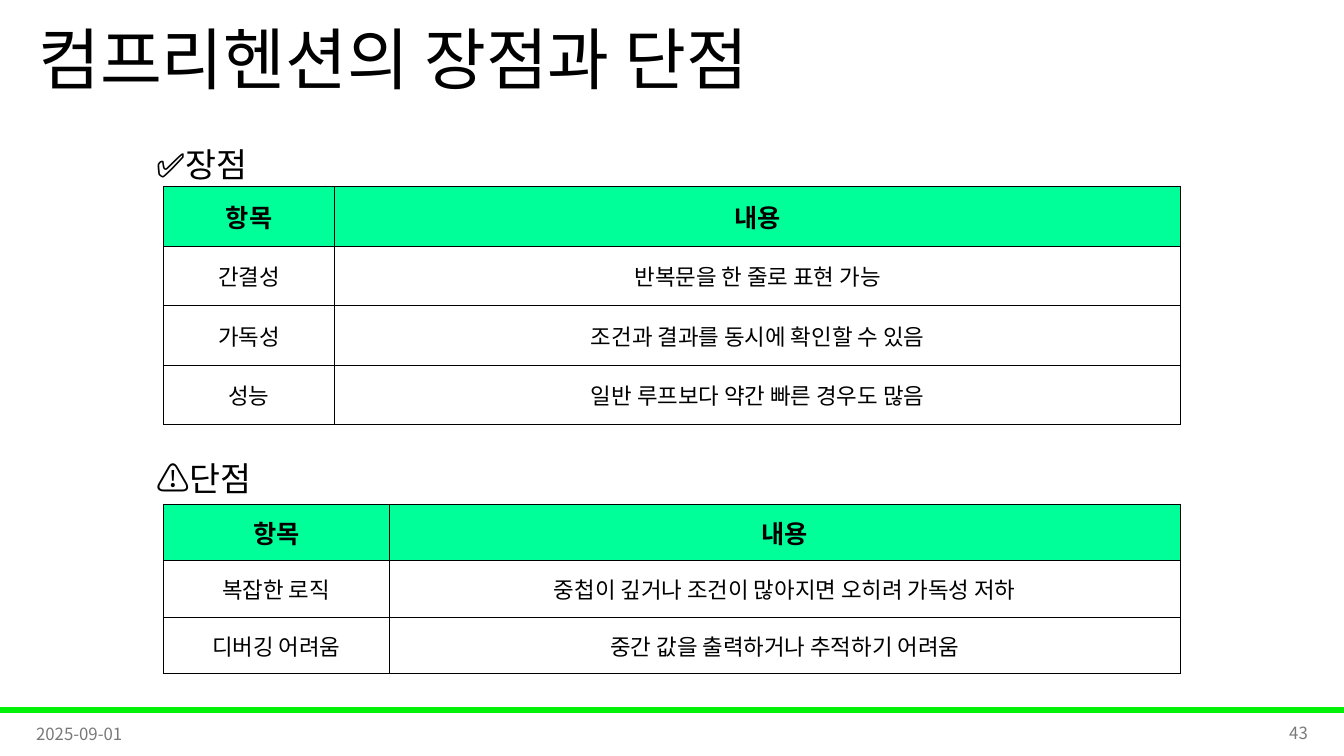
from dataclasses import dataclass

from lxml import etree
from pptx import Presentation
from pptx.dml.color import RGBColor
from pptx.enum.shapes import MSO_SHAPE
from pptx.enum.text import MSO_ANCHOR, MSO_AUTO_SIZE, PP_ALIGN
from pptx.oxml.ns import qn
from pptx.util import Inches, Pt

LEFT, CENTER, RIGHT = PP_ALIGN.LEFT, PP_ALIGN.CENTER, PP_ALIGN.RIGHT
TOP, MIDDLE = MSO_ANCHOR.TOP, MSO_ANCHOR.MIDDLE
RECTANGLE = MSO_SHAPE.RECTANGLE
NO_AUTOFIT = MSO_AUTO_SIZE.NONE
TITLE_ONLY = 5


@dataclass(frozen=True)
class Theme:
    font: str = "Noto Sans CJK KR"
    black: str = "000000"
    gray: str = "797979"
    bar: str = "00F209"
    header: str = "00FF99"
    title_size: int = 48
    heading_size: int = 24
    header_size: int = 18
    body_size: int = 16
    footer_size: int = 12
    border_width: float = 0.5


theme = Theme()


def write(frame, text, size, color=theme.black, bold=False, align=LEFT,
          anchor=MIDDLE, line_spacing=1.0):
    frame.word_wrap = True
    frame.vertical_anchor = anchor
    paragraph = frame.paragraphs[0]
    paragraph.alignment = align
    paragraph.line_spacing = line_spacing
    run = paragraph.add_run()
    run.text = text
    run.font.size = Pt(size)
    run.font.bold = bold
    run.font.color.rgb = RGBColor.from_string(color)
    run.font.name = theme.font
    # Hangul takes the East Asian typeface
    etree.SubElement(run.font._element, qn("a:ea"), typeface=theme.font)


def add_borders(cell):
    properties = cell._tc.get_or_add_tcPr()
    for side in ("lnL", "lnR", "lnT", "lnB"):
        line = etree.SubElement(properties, qn(f"a:{side}"),
                                w=str(Pt(theme.border_width)))
        fill = etree.SubElement(line, qn("a:solidFill"))
        etree.SubElement(fill, qn("a:srgbClr"), val=theme.black)


presentation = Presentation()
presentation.slide_width = Inches(13.33)
presentation.slide_height = Inches(7.5)
slide = presentation.slides.add_slide(presentation.slide_layouts[TITLE_ONLY])

# Footer bar
bar = slide.shapes.add_shape(RECTANGLE, 0, Inches(7.02), Inches(13.33), Inches(0.05))
bar.shadow.inherit = False
bar.fill.solid()
bar.fill.fore_color.rgb = RGBColor.from_string(theme.bar)
bar.line.color.rgb = RGBColor.from_string(theme.bar)
bar.line.width = Pt(1)

# Title
title = slide.shapes.title
title.left, title.top = Inches(0.28), Inches(0)
title.width, title.height = Inches(11.5), Inches(1.25)
title.text_frame.auto_size = NO_AUTOFIT
write(title.text_frame, "컴프리헨션의 장점과 단점", theme.title_size, line_spacing=0.9)

# Date and page number
for text, left, top, align in (("2025-09-01", 0.26, 7.08, LEFT),
                               ("43", 10.07, 7.07, RIGHT)):
    footer = slide.shapes.add_textbox(Inches(left), Inches(top), Inches(3), Inches(0.4))
    write(footer.text_frame, text, theme.footer_size, color=theme.gray, align=align)

# Headings with their tables
header_row = ("항목", "내용")
sections = (
    ("✅장점", 1.18, 1.85, 0.59, (1.7, 8.39), (
        ("간결성", "반복문을 한 줄로 표현 가능"),
        ("가독성", "조건과 결과를 동시에 확인할 수 있음"),
        ("성능", "일반 루프보다 약간 빠른 경우도 많음"),
    )),
    ("⚠️단점", 4.29, 5, 0.56, (2.24, 7.85), (
        ("복잡한 로직", "중첩이 깊거나 조건이 많아지면 오히려 가독성 저하"),
        ("디버깅 어려움", "중간 값을 출력하거나 추적하기 어려움"),
    )),
)
for heading, heading_top, table_top, row_height, widths, body_rows in sections:
    box = slide.shapes.add_textbox(Inches(1.45), Inches(heading_top),
                                   Inches(8.26), Inches(0.64))
    write(box.text_frame, heading, theme.heading_size, anchor=TOP, line_spacing=1.5)

    rows = (header_row, *body_rows)
    table = slide.shapes.add_table(
        len(rows), len(widths), Inches(1.62), Inches(table_top),
        Inches(sum(widths)), Inches(row_height * len(rows))).table
    table.horz_banding = False
    for column, width in zip(table.columns, widths):
        column.width = Inches(width)
    for row_index, texts in enumerate(rows):
        table.rows[row_index].height = Inches(row_height)
        is_header = row_index == 0
        for column_index, text in enumerate(texts):
            cell = table.cell(row_index, column_index)
            cell.margin_left = cell.margin_right = cell.margin_top = Inches(0.01)
            cell.margin_bottom = 0
            cell.vertical_anchor = MIDDLE
            add_borders(cell)
            if is_header:
                cell.fill.solid()
                cell.fill.fore_color.rgb = RGBColor.from_string(theme.header)
            else:
                cell.fill.background()
            write(cell.text_frame, text, bold=is_header, align=CENTER,
                  size=theme.header_size if is_header else theme.body_size)

presentation.save("out.pptx")
